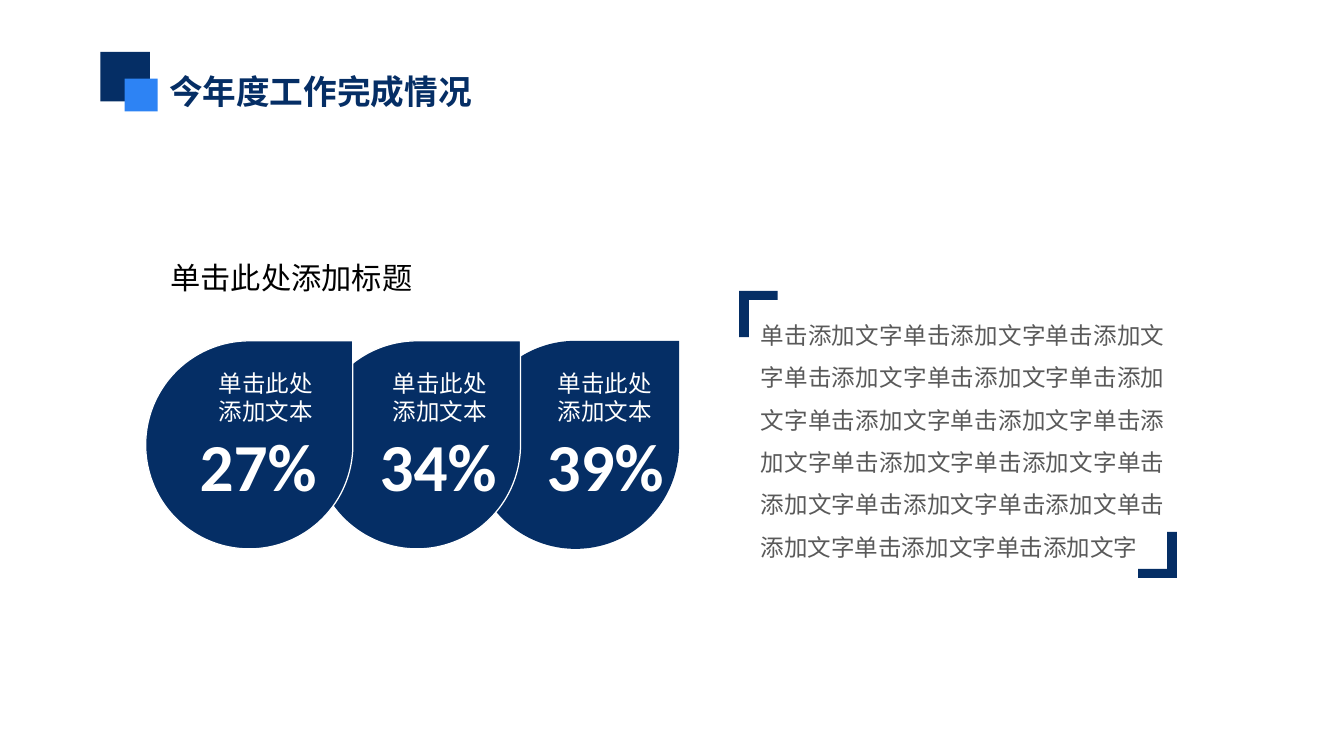
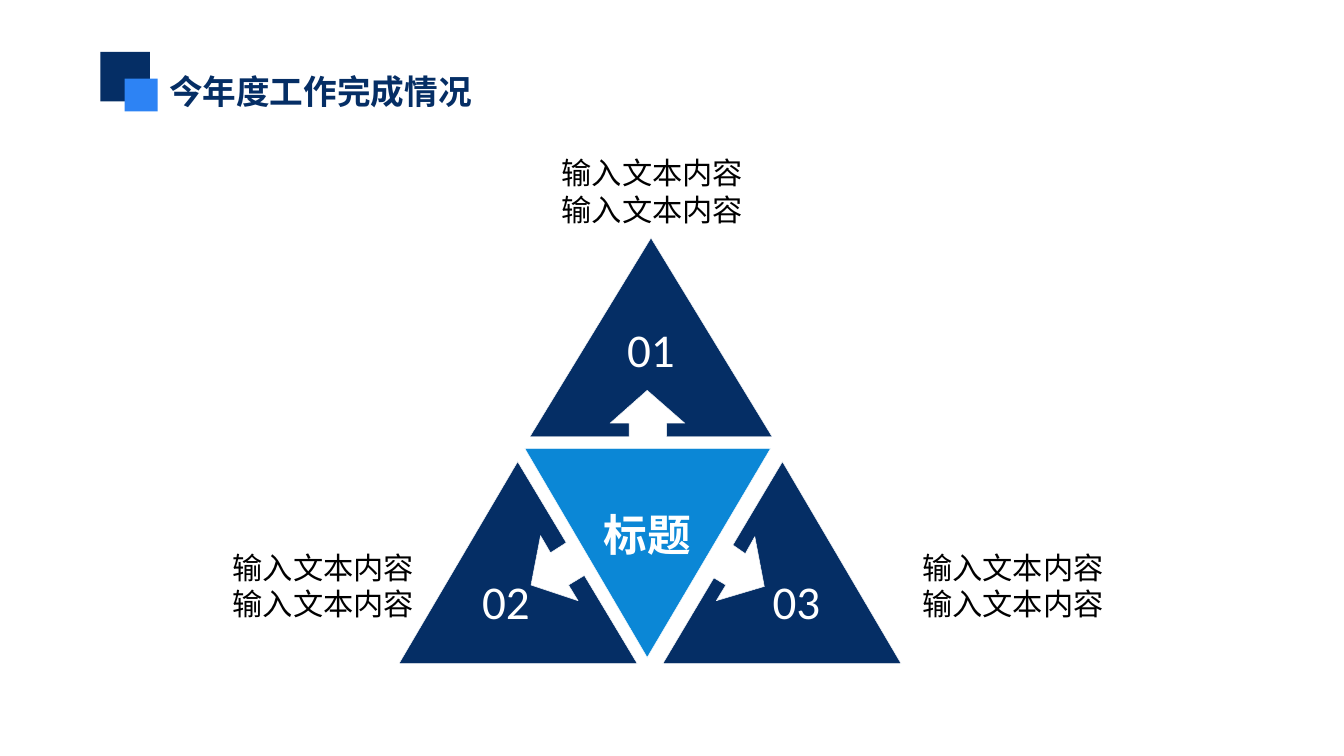
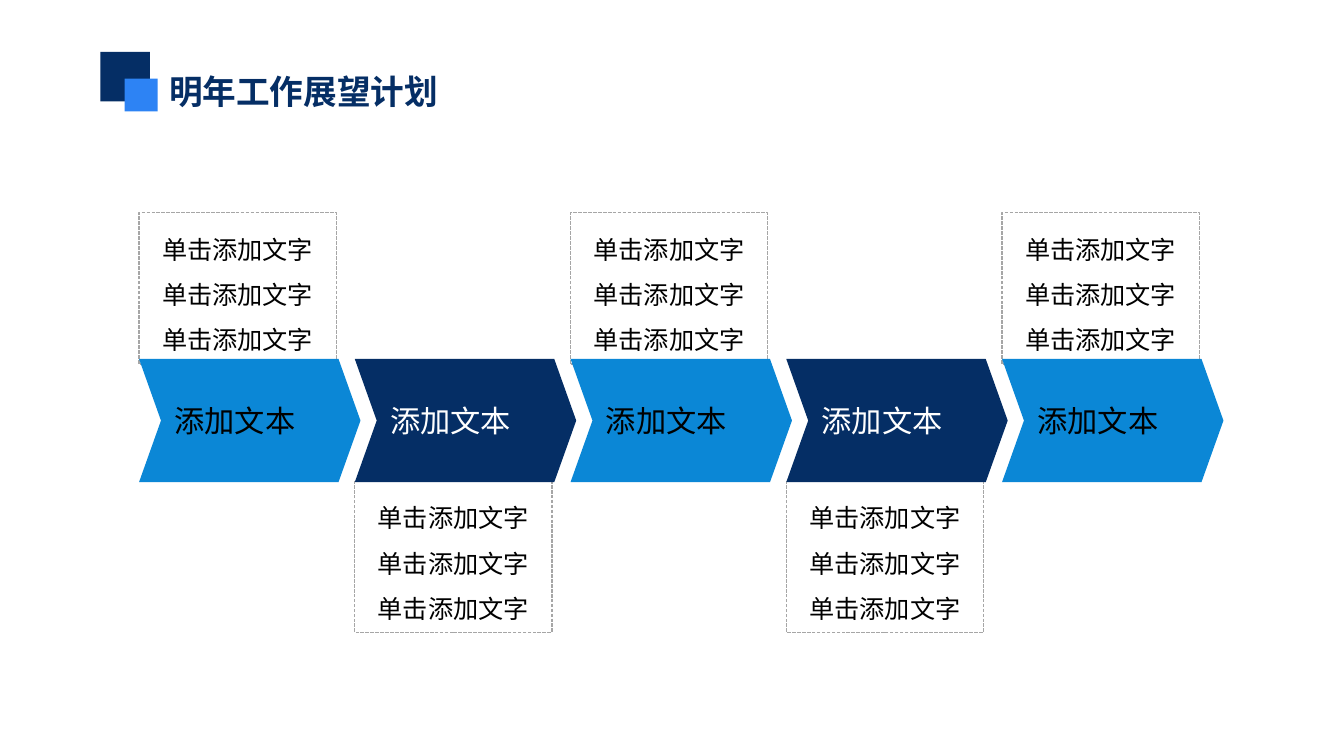
from lxml import etree
from pptx import Presentation
from pptx.dml.color import RGBColor
from pptx.enum.dml import MSO_LINE
from pptx.enum.shapes import MSO_SHAPE
from pptx.enum.text import MSO_ANCHOR as Anchor, MSO_AUTO_SIZE as AutoSize, PP_ALIGN as Align
from pptx.oxml.ns import qn
from pptx.util import Cm, Pt

NAVY, SKY, ACCENT = "052E65", "0B87D6", "2D83F4"
WHITE, BLACK, GREY, BORDER = "FFFFFF", "000000", "595959", "A6A6A6"
CHINESE, LATIN = "Noto Sans CJK SC", "Calibri"
INSETS = (0.25, 0.13, 0.25, 0.13)


# Shared helpers: boxes are (left, top, width, height) in centimetres
def rgb(color):
    return RGBColor.from_string(color)


def write(shape, lines, size, color, font=CHINESE, bold=False, align=Align.LEFT,
          spacing=None, anchor=Anchor.TOP, insets=INSETS, wrap=True):
    frame = shape.text_frame
    frame.word_wrap = wrap
    frame.vertical_anchor = anchor
    frame.margin_left, frame.margin_top, frame.margin_right, frame.margin_bottom = map(Cm, insets)
    for index, line in enumerate(lines):
        paragraph = frame.add_paragraph() if index else frame.paragraphs[0]
        paragraph.alignment = align
        if spacing:
            paragraph.line_spacing = spacing
        run = paragraph.add_run()
        run.text = line
        run.font.size, run.font.bold, run.font.name = Pt(size), bold, font
        run.font.color.rgb = rgb(color)
        # East Asian typeface follows the Latin one
        etree.SubElement(run._r.get_or_add_rPr(), qn("a:ea"), typeface=font)


def add_label(slide, box, lines, size, color, **style):
    label = slide.shapes.add_textbox(*map(Cm, box))
    write(label, lines, size, color, **style)
    label.text_frame.auto_size = AutoSize.SHAPE_TO_FIT_TEXT


def paint(shape, fill=None, line=None, width=0.75):
    shape.shadow.inherit = False
    if fill:
        shape.fill.solid()
        shape.fill.fore_color.rgb = rgb(fill)
    else:
        shape.fill.background()
    if line:
        shape.line.color.rgb = rgb(line)
        shape.line.width = Pt(width)
    else:
        shape.line.fill.background()


def add_preset(slide, kind, box, fill=None, line=None, adjustments=()):
    shape = slide.shapes.add_shape(kind, *map(Cm, box))
    for index, value in enumerate(adjustments):
        shape.adjustments[index] = value
    paint(shape, fill, line)
    return shape


def add_outline(slide, origin, points, fill):
    left, top = origin
    start, *rest = [(Cm(left + x), Cm(top + y)) for x, y in points]
    builder = slide.shapes.build_freeform(*start)
    builder.add_line_segments(rest, close=True)
    shape = builder.convert_to_shape()
    paint(shape, fill, WHITE, 0.25)
    return shape


def add_titled_slide(presentation, title):
    slide = presentation.slides.add_slide(presentation.slide_layouts[6])
    add_label(slide, (3.3, 1.35, 7.19, 1.12), [title], 20, NAVY, bold=True, wrap=False)
    add_preset(slide, MSO_SHAPE.RECTANGLE, (2.11, 1.09, 1.04, 1.04), NAVY)
    add_preset(slide, MSO_SHAPE.RECTANGLE, (2.62, 1.65, 0.69, 0.69), ACCENT)
    return slide


# Slide 1: overlapping drops and a framed paragraph
def add_drop(slide, box, percent, percent_indent, label_indent, label_width, line):
    left, top, _, _ = box
    add_preset(slide, MSO_SHAPE.TEAR, box, NAVY, line)
    add_label(slide, (left + percent_indent, top + 1.63, 2.97, 1.96), [percent], 40, WHITE,
              font=LATIN, bold=True)
    add_label(slide, (left + label_indent, top + 0.46, label_width, 1.45),
              ["单击此处添加文本"], 14, WHITE)


def add_framed_paragraph(slide, box):
    left, top, width, height = box
    phrase = "单击添加文字"
    add_label(slide, box, [phrase * 13 + "单击添加文" + phrase * 3], 14, GREY,
              align=Align.JUSTIFY, spacing=1.5)
    corners = [(left - 0.28, top - 0.13, 90), (left + width - 0.89, top + height - 0.71, 270)]
    for x, y, rotation in corners:
        corner = add_preset(slide, MSO_SHAPE.CORNER, (x, y, 0.97, 0.81), NAVY,
                            adjustments=(0.25, 0.235))
        corner.rotation = rotation


def build_completion(presentation):
    slide = add_titled_slide(presentation, "今年度工作完成情况")
    add_label(slide, (3.33, 5.31, 5.99, 1.02), ["单击此处添加标题"], 18, BLACK)
    # Rightmost drop lies at the back
    drops = [
        (9.91, "39%", 1.32, 1.55, 2.64, None),
        (6.58, "34%", 1.14, 1.42, 2.69, WHITE),
        (3.06, "27%", 0.88, 1.28, 2.77, WHITE),
    ]
    for left, *details in drops:
        add_drop(slide, (left, 7.16, 4.35, 4.37), *details)
    add_framed_paragraph(slide, (15.72, 6.32, 8.99, 5.64))


# Slide 2: triangle of three numbered parts around a heading
TOP_POINTS = [(2.54, 0), (5.08, 4.17), (2.87, 4.17), (2.87, 3.89), (3.25, 3.89),
              (2.46, 3.2), (1.68, 3.89), (2.08, 3.89), (2.08, 4.17), (0, 4.17)]
RIGHT_POINTS = [(2.51, 0), (5, 4.24), (0, 4.24), (1.07, 2.44), (1.32, 2.59),
                (1.12, 2.92), (2.13, 2.62), (1.93, 1.57), (1.73, 1.93), (1.47, 1.75)]
LEFT_POINTS = [(2.49, 0), (3.51, 1.7), (3.18, 1.91), (2.97, 1.55), (2.77, 2.59),
               (3.76, 2.92), (3.56, 2.59), (3.89, 2.39), (5, 4.24), (0, 4.24)]
CENTRE_POINTS = [(0, 0), (5.16, 0), (2.57, 4.39)]


def add_triangle(slide, box):
    left, top, _, _ = box
    parts = [
        ("01", 2.75, 0, TOP_POINTS, (0.25, 0.61, 0.25, 0.13)),
        ("03", 5.54, 4.7, RIGHT_POINTS, (0.61, 1.73, 0, 0.13)),
        ("02", 0, 4.7, LEFT_POINTS, (0, 1.73, 0.51, 0.13)),
    ]
    for number, x, y, points, insets in parts:
        part = add_outline(slide, (left + x, top + y), points, NAVY)
        write(part, [number], 28, WHITE, font=LATIN, align=Align.CENTER,
              anchor=Anchor.MIDDLE, insets=insets)
    centre = add_outline(slide, (left + 2.64, top + 4.42), CENTRE_POINTS, SKY)
    write(centre, ["标题"], 26, WHITE, bold=True, align=Align.CENTER, spacing=1.3,
          anchor=Anchor.MIDDLE, insets=(1.22, 0, 1.22, 1.12))


def build_triangle(presentation):
    slide = add_titled_slide(presentation, "今年度工作完成情况")
    add_triangle(slide, (8.38, 5, 10.54, 8.94))
    for left, top in [(4.11, 11.4), (18.59, 11.4), (11.02, 3.12)]:
        add_label(slide, (left, top, 5.36, 1.8), ["输入文本内容"] * 2, 18, BLACK,
                  align=Align.CENTER)


# Slide 3: chevron row with cards above and below in turn
def add_card(slide, box):
    card = add_preset(slide, MSO_SHAPE.RECTANGLE, box, line=BORDER)
    card.line.dash_style = MSO_LINE.SQUARE_DOT
    write(card, ["单击添加文字"] * 3, 15, BLACK, align=Align.CENTER, spacing=1.5,
          insets=(0.28, 0.13, 0.28, 0.13))


def add_chevron(slide, box, fill, color):
    chevron = add_preset(slide, MSO_SHAPE.CHEVRON, box, fill, adjustments=(0.178,))
    write(chevron, ["添加文本"], 18, color, anchor=Anchor.MIDDLE,
          insets=(0.28, 0.13, 0.28, 0.13))


def add_process(slide, box, count=5):
    left, top, width, height = box
    chevron_width = 4.65
    pitch = (width - chevron_width) / (count - 1)
    for step in range(count):
        x = left + step * pitch
        below = step % 2
        add_card(slide, (x, top + height - 0.02 if below else top - 3.07, 4.14, 3.18))
        add_chevron(slide, (x, top, chevron_width, height),
                    NAVY if below else SKY, WHITE if below else BLACK)


def build_plan(presentation):
    slide = add_titled_slide(presentation, "明年工作展望计划")
    add_process(slide, (2.92, 7.54, 22.77, 2.59))


presentation = Presentation()
presentation.slide_width, presentation.slide_height = Cm(28.22), Cm(15.88)
build_completion(presentation)
build_triangle(presentation)
build_plan(presentation)
presentation.save("out.pptx")
